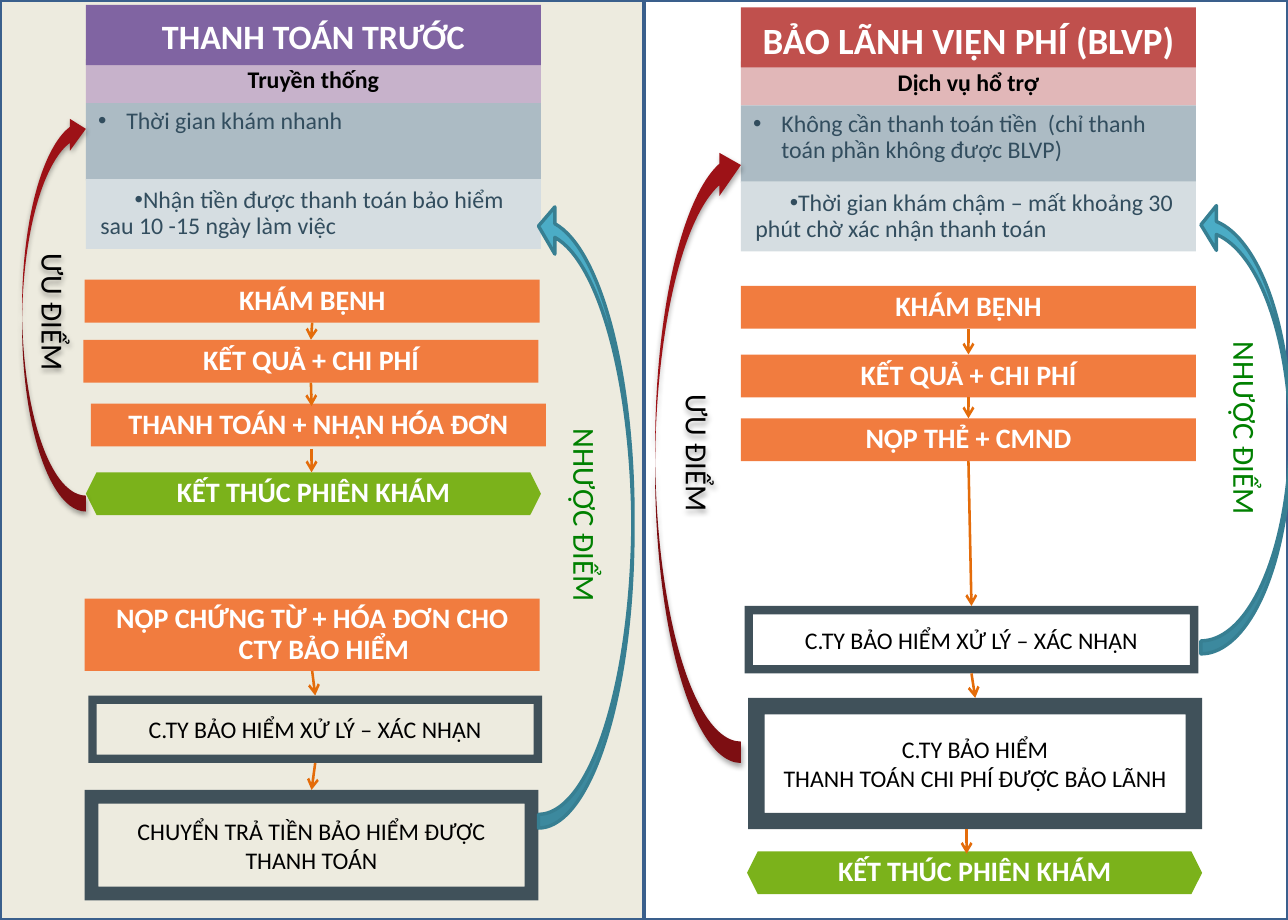
from lxml import etree
from pptx import Presentation
from pptx.dml.color import RGBColor
from pptx.enum import shapes, text
from pptx.oxml import ns
from pptx.util import Inches, Pt

WHITE = RGBColor(0xFF, 0xFF, 0xFF)
BLACK = RGBColor(0, 0, 0)
BEIGE = RGBColor(0xC4, 0xBD, 0x97)
PANEL_EDGE = RGBColor(0x3A, 0x5F, 0x8C)
VIOLET = RGBColor(0x80, 0x64, 0xA2)
PURPLE = RGBColor(0x70, 0x30, 0xA0)
RED = RGBColor(0xC0, 0x50, 0x4D)
DARK_RED = RGBColor(0x9D, 0x12, 0x17)
ORANGE = RGBColor(0xF1, 0x7C, 0x3F)
ARROW_ORANGE = RGBColor(0xE4, 0x6C, 0x0A)
LIME = RGBColor(0x7B, 0xB2, 0x1B)
SLATE = RGBColor(0x40, 0x51, 0x5A)
NAVY = RGBColor(0x32, 0x4D, 0x5E)
STEEL = RGBColor(0xAC, 0xBB, 0xC4)
PALE_STEEL = RGBColor(0xD5, 0xDD, 0xE1)
TEAL = RGBColor(0x4B, 0xAC, 0xC6)
TEAL_EDGE = RGBColor(0x37, 0x7F, 0x92)
GREEN = RGBColor(0x00, 0x80, 0x00)

SHAPE = shapes.MSO_SHAPE
MIDDLE = text.MSO_ANCHOR.MIDDLE
TOP = text.MSO_ANCHOR.TOP
BOX_WIDTH = 3.71
STEP_HEIGHT = 0.35
JOIN_TOLERANCE = Inches(0.03)


def add_xml(parent, tag, **attributes):
    return etree.SubElement(parent, ns.qn(tag), attributes)


def set_fill(shape, color, opacity=100):
    shape.fill.solid()
    shape.fill.fore_color.rgb = color
    if opacity < 100:
        color_element = shape.element.spPr.find(".//" + ns.qn("a:srgbClr"))
        add_xml(color_element, "a:alpha", val=str(opacity * 1000))


def add_block(slide, kind, box, color, opacity=100, edge=None):
    shape = slide.shapes.add_shape(kind, *map(Inches, box))
    shape.shadow.inherit = False
    set_fill(shape, color, opacity)
    if edge is None:
        shape.line.fill.background()
    else:
        shape.line.color.rgb = edge
        shape.line.width = Pt(2)
    return shape


def write(shape, words, size, color, bold=False, spacing=1.0, anchor=MIDDLE,
          align=text.PP_ALIGN.CENTER, indent=None, bullet=False):
    """Fill a shape with text; indent is (left margin, first line) in inches."""
    frame = shape.text_frame
    frame.text = words
    frame.word_wrap = True
    frame.auto_size = text.MSO_AUTO_SIZE.NONE
    frame.vertical_anchor = anchor
    for paragraph in frame.paragraphs:
        properties = paragraph._p.get_or_add_pPr()
        if indent:
            properties.set("marL", str(Inches(indent[0])))
            properties.set("indent", str(Inches(indent[1])))
        if bullet:
            add_xml(properties, "a:buFont", typeface="Arial")
            add_xml(properties, "a:buChar", char="•")
        paragraph.alignment = align
        paragraph.line_spacing = spacing
        paragraph.space_before = Pt(0)
        for run in paragraph.runs:
            run.font.name = "Calibri"
            run.font.size = Pt(size)
            run.font.bold = bold
            run.font.color.rgb = color


def place(placeholder, box, color):
    placeholder.left, placeholder.top, placeholder.width, placeholder.height = map(Inches, box)
    set_fill(placeholder, color)


def add_header(slide, left, top, heading, heading_size, heading_color,
               subtitle, subtitle_color, pro, con, placeholder_index):
    """Heading, subtitle, advantage and drawback, stacked from the top."""
    title = slide.placeholders[placeholder_index]
    place(title, (left, top, BOX_WIDTH, 0.49), heading_color)
    write(title, heading, heading_size, WHITE, True, 1.1, TOP)

    band = add_block(slide, SHAPE.RECTANGLE, (left, top + 0.44, BOX_WIDTH, 0.36),
                     subtitle_color, 30)
    write(band, subtitle, 14, BLACK, True, 0.9)
    title.element.addprevious(band.element)

    advantage = slide.placeholders[placeholder_index + 1]
    place(advantage, (left, top + 0.8, BOX_WIDTH, 0.63), STEEL)
    write(advantage, pro, 14, NAVY, False, 0.9, TOP, text.PP_ALIGN.LEFT, (0.23, -0.23), True)

    drawback = add_block(slide, SHAPE.RECTANGLE, (left, top + 1.42, BOX_WIDTH, 0.57), PALE_STEEL)
    write(drawback, con, 14, NAVY, False, 0.9, MIDDLE, text.PP_ALIGN.LEFT, (0.02, 0.28), True)


def add_step(slide, left, top, words, height=STEP_HEIGHT, kind=SHAPE.RECTANGLE, color=ORANGE):
    step = add_block(slide, kind, (left, top, BOX_WIDTH, height), color)
    write(step, words, 16.5, WHITE, True, 0.9, indent=(0.19, -0.19))
    return step


def add_finish(slide, left, top):
    return add_step(slide, left, top, "KẾT THÚC PHIÊN KHÁM", kind=SHAPE.HEXAGON, color=LIME)


def add_insurer(slide, left, top, height, words):
    frame = add_block(slide, SHAPE.FRAME, (left, top, 3.7, height), SLATE)
    write(frame, words, 14, BLACK)
    return frame


def add_curve(slide, kind, box, label, label_color, color, edge=None):
    curve = add_block(slide, kind, box, color, edge=edge)
    curve.rotation = 180
    write(curve, label, 18, label_color)
    curve.text_frame._txBody.bodyPr.set("vert", "vert270")
    return curve


def add_pro_curve(slide, box):
    curve = add_curve(slide, SHAPE.CURVED_LEFT_ARROW, box, "ƯU ĐIỂM", BLACK, DARK_RED)
    effects = curve.element.spPr.find(ns.qn("a:effectLst"))
    shadow = add_xml(effects, "a:outerShdw", blurRad=str(Pt(3.1)), dist=str(Pt(1.8)),
                     dir="5400000", rotWithShape="0")
    add_xml(add_xml(shadow, "a:srgbClr", val="000000"), "a:alpha", val="35000")


def add_con_curve(slide, box):
    curve = add_curve(slide, SHAPE.CURVED_RIGHT_ARROW, box, "NHƯỢC ĐIỂM", GREEN, TEAL, TEAL_EDGE)
    for index, value in enumerate((0.145, 0.5, 0.173)):
        curve.adjustments[index] = value


def meets(shape, x, y, side_y):
    near = (abs(shape.left + shape.width // 2 - x) <= JOIN_TOLERANCE
            and abs(side_y - y) <= JOIN_TOLERANCE)
    return near and shape.auto_shape_type != SHAPE.HEXAGON


def add_arrow(slide, source, target, x, start, end):
    """Downward arrow, joined to the boxes whose side middles it meets."""
    x, start, end = map(Inches, (x, start, end))
    arrow = slide.shapes.add_connector(shapes.MSO_CONNECTOR.STRAIGHT, x, start, x, end)
    if meets(source, x, start, source.top + source.height):
        arrow.begin_connect(source, 2)
    if meets(target, x, end, target.top):
        arrow.end_connect(target, 0)
    arrow.line.color.rgb = ARROW_ORANGE
    arrow.line.width = Pt(1.5)
    add_xml(arrow.line._get_or_add_ln(), "a:tailEnd", type="arrow")
    add_xml(arrow.element.spPr, "a:effectLst")


def add_prepaid_flow(slide):
    exam = add_step(slide, 0.69, 2.28, "KHÁM BỆNH")
    result = add_step(slide, 0.68, 2.77, "KẾT QUẢ + CHI PHÍ")
    payment = add_step(slide, 0.74, 3.29, "THANH TOÁN + NHẬN HÓA ĐƠN")
    finish = add_finish(slide, 0.7, 3.85)
    claim = add_step(slide, 0.69, 4.88, "NỘP CHỨNG TỪ + HÓA ĐƠN CHO CTY BẢO HIỂM", 0.59)
    review = add_insurer(slide, 0.72, 5.67, 0.55, "C.TY BẢO HIỂM XỬ LÝ – XÁC NHẬN")
    refund = add_insurer(slide, 0.69, 6.44, 0.9, "CHUYỂN TRẢ TIỀN BẢO HIỂM ĐƯỢC THANH TOÁN")
    add_pro_curve(slide, (0.18, 0.92, 0.52, 3.25))
    add_con_curve(slide, (4.39, 1.65, 0.77, 5.1))
    for arrow in ((exam, result, 2.54, 2.63, 2.77), (result, payment, 2.54, 3.12, 3.31),
                  (payment, finish, 2.54, 3.66, 3.85), (claim, review, 2.54, 5.47, 5.66),
                  (review, refund, 2.55, 6.25, 6.44)):
        add_arrow(slide, *arrow)


def add_guarantee_flow(slide):
    exam = add_step(slide, 6.04, 2.33, "KHÁM BỆNH")
    result = add_step(slide, 6.04, 2.89, "KẾT QUẢ + CHI PHÍ")
    card = add_step(slide, 6.04, 3.41, "NỘP THẺ + CMND")
    payout = add_insurer(slide, 6.1, 5.69, 1.07,
                         "C.TY BẢO HIỂM\nTHANH TOÁN CHI PHÍ ĐƯỢC BẢO LÃNH")
    review = add_insurer(slide, 6.07, 4.94, 0.55, "C.TY BẢO HIỂM XỬ LÝ – XÁC NHẬN")
    finish = add_finish(slide, 6.09, 6.94)
    add_pro_curve(slide, (5.34, 1.17, 0.7, 5.05))
    add_con_curve(slide, (9.79, 1.65, 0.73, 3.68))
    for arrow in ((exam, result, 7.9, 2.68, 2.89), (result, card, 7.92, 3.22, 3.43),
                  (card, review, 7.92, 3.76, 4.94), (review, payout, 7.93, 5.49, 5.69),
                  (payout, finish, 7.88, 6.76, 6.96)):
        add_arrow(slide, *arrow)


def main():
    presentation = Presentation()
    presentation.slide_width, presentation.slide_height = Inches(10.5), Inches(7.5)
    slide = presentation.slides.add_slide(presentation.slide_layouts[4])
    unused_title = slide.shapes.title.element
    unused_title.getparent().remove(unused_title)
    for left, color, opacity in ((0, BEIGE, 30), (5.25, WHITE, 27)):
        panel = add_block(slide, SHAPE.RECTANGLE, (left, 0, 5.25, 7.5), color, opacity, PANEL_EDGE)
        slide.placeholders[1].element.addprevious(panel.element)
    add_header(slide, 0.7, 0.04, "THANH TOÁN TRƯỚC", 20, VIOLET, "Truyền thống", PURPLE,
               "Thời gian khám nhanh",
               "Nhận tiền được thanh toán bảo hiểm sau 10 -15 ngày làm việc", 1)
    add_header(slide, 6.04, 0.06, "BẢO LÃNH VIỆN PHÍ (BLVP)", 21.7, RED, "Dịch vụ hổ trợ", DARK_RED,
               "Không cần thanh toán tiền  (chỉ thanh toán phần không được BLVP)",
               "Thời gian khám chậm – mất khoảng 30 phút chờ xác nhận thanh toán", 3)
    add_prepaid_flow(slide)
    add_guarantee_flow(slide)
    presentation.save("out.pptx")


if __name__ == "__main__":
    main()
